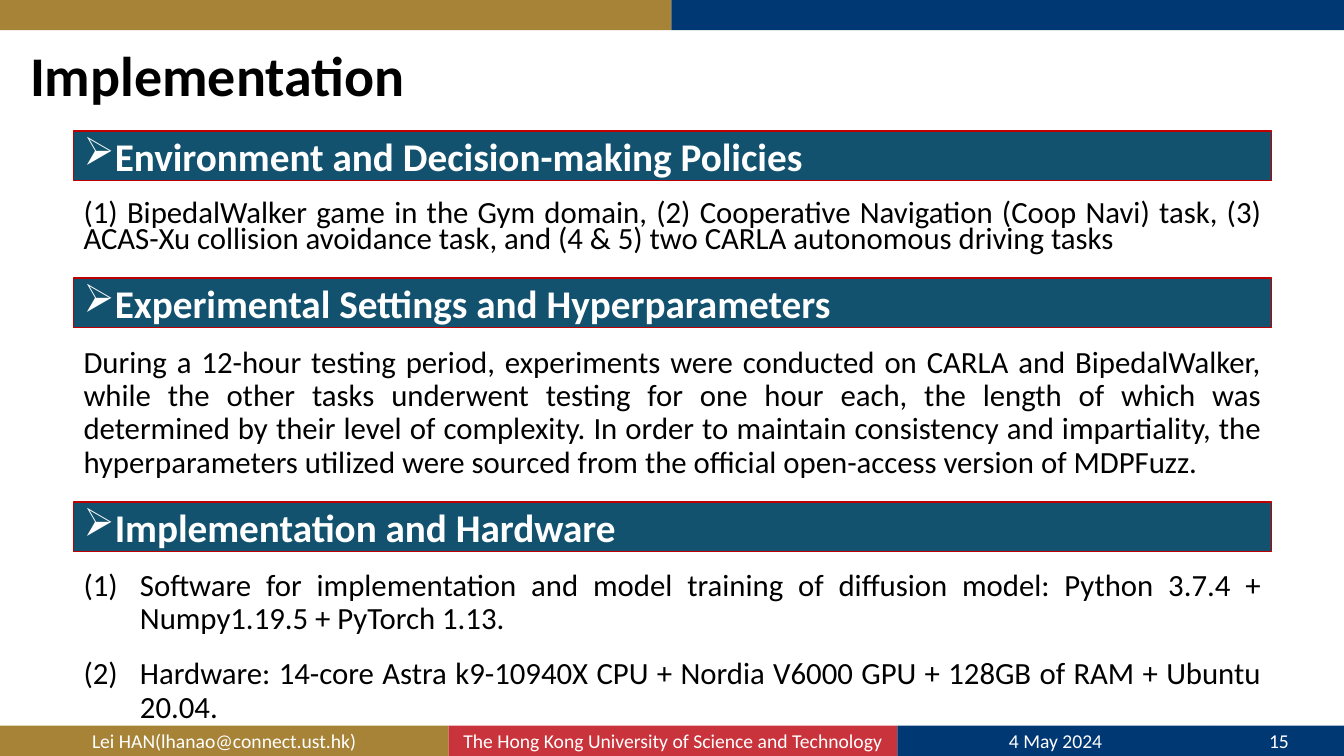
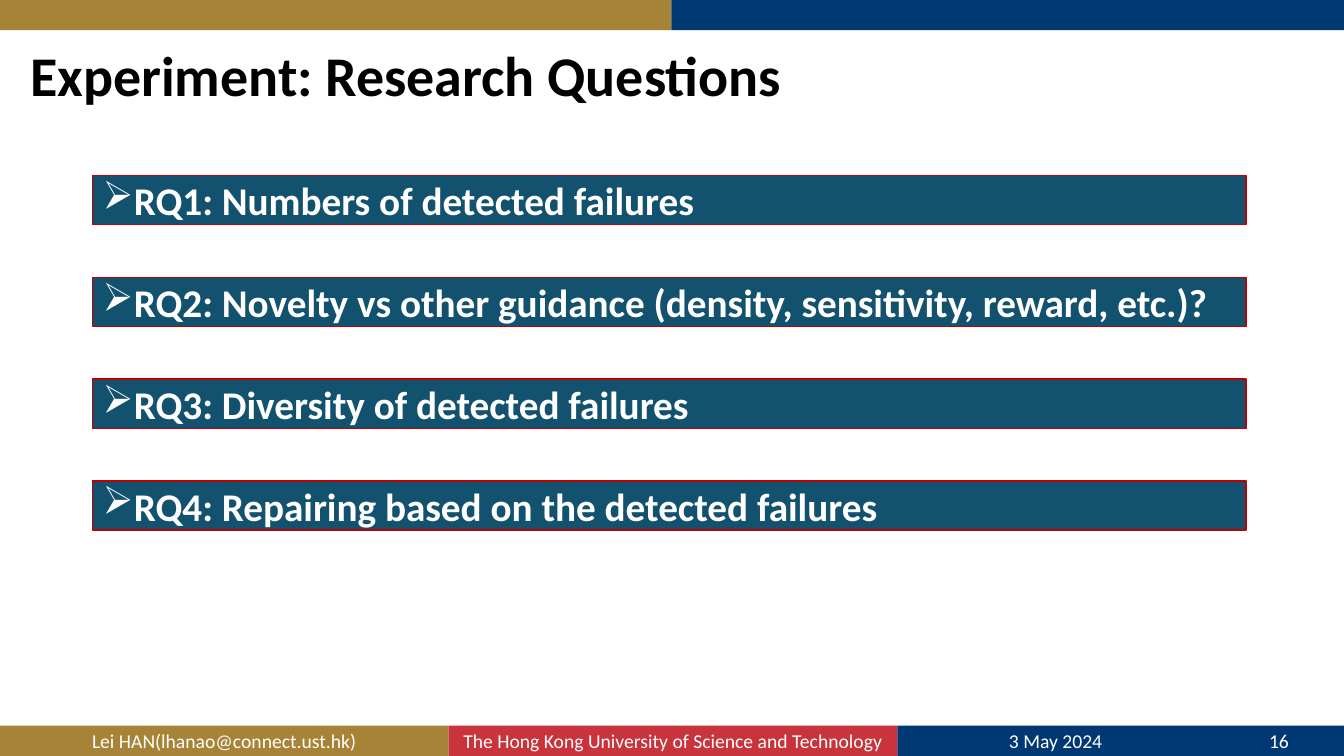
from dataclasses import dataclass
from itertools import accumulate

from lxml.etree import SubElement
from pptx import Presentation
from pptx.dml.color import RGBColor as Rgb
from pptx.enum.shapes import MSO_SHAPE as Shape
from pptx.enum.text import MSO_ANCHOR as Anchor, PP_ALIGN as Align
from pptx.oxml.ns import qn
from pptx.util import Pt

PX = 9144


@dataclass(frozen=True)
class Theme:
    font: str = "Calibri"
    gold: str = "A78337"
    navy: str = "003874"
    red: str = "C9333B"
    teal: str = "13526E"
    edge: str = "C00000"
    black: str = "000000"
    white: str = "FFFFFF"
    title: int = 40
    head: int = 28
    body: int = 22
    foot: int = 14


THEME = Theme()
WIDTH, HEIGHT, BAND = 1333, 750, 30
BAR = 49


def emu(*sizes):
    return [size * PX for size in sizes]


def bullet(para, tag, indent, **attrs):
    props = para._p.get_or_add_pPr()
    props.set("marL", str(indent * PX))
    props.set("indent", str(-indent * PX))
    SubElement(props, qn(f"a:{tag}"), attrs)


def write(shape, *texts, size, color=THEME.black, bold=False, align=Align.LEFT,
          anchor=Anchor.TOP, line=None, before=0, after=0, mark=None):
    frame = shape.text_frame
    frame.word_wrap = True
    frame.vertical_anchor = anchor
    for index, text in enumerate(texts):
        para = frame.add_paragraph() if index else frame.paragraphs[0]
        if mark:
            bullet(para, **mark)
        para.alignment = align
        para.line_spacing = line
        para.space_before = Pt(before if index else 0)
        para.space_after = Pt(after)
        run = para.add_run()
        run.text = text
        font = run.font
        font.name, font.size, font.bold = THEME.font, Pt(size), bold
        font.color.rgb = Rgb.from_string(color)


def block(slide, left, top, width, height, fill, edge=None):
    shape = slide.shapes.add_shape(
        Shape.RECTANGLE, *emu(left, top, width, height))
    shape.shadow.inherit = False
    shape.fill.solid()
    shape.fill.fore_color.rgb = Rgb.from_string(fill)
    if edge:
        shape.line.color.rgb = Rgb.from_string(edge)
        shape.line.width = Pt(1)
    else:
        shape.line.fill.background()
    return shape


def header(slide, left, top, width, text):
    bar = block(slide, left, top, width, BAR, THEME.teal, THEME.edge)
    write(bar, text, size=THEME.head, color=THEME.white, bold=True,
          anchor=Anchor.MIDDLE,
          mark={"tag": "buChar", "indent": 31, "char": "➢"})


def body(slide, left, top, width, height, *texts, line=0.9, mark=None):
    box = slide.shapes.add_textbox(*emu(left, top, width, height))
    write(box, *texts, size=THEME.body, align=Align.JUSTIFY, line=line,
          before=10, after=6, mark=mark)


def footer(slide, date, number):
    cells = [
        (445, THEME.gold, "Lei HAN(lhanao@connect.ust.hk)"),
        (445, THEME.red, "The Hong Kong University of Science and Technology"),
        (314, THEME.navy, date),
        (129, THEME.navy, str(number)),
    ]
    lefts = accumulate((cell[0] for cell in cells), initial=0)
    for left, (width, fill, text) in zip(lefts, cells):
        cell = block(slide, left, HEIGHT - BAND, width, BAND, fill)
        write(cell, text, size=THEME.foot, color=THEME.white,
              align=Align.CENTER, anchor=Anchor.MIDDLE)


def page(deck, title, date, number):
    slide = deck.slides.add_slide(deck.slide_layouts[6])
    box = slide.shapes.add_textbox(*emu(20, 29, 1150, 97))
    write(box, title, size=THEME.title, bold=True, line=0.9,
          anchor=Anchor.MIDDLE)
    half = WIDTH // 2
    block(slide, 0, 0, half, BAND, THEME.gold)
    block(slide, half, 0, WIDTH - half, BAND, THEME.navy)
    footer(slide, date, number)
    return slide


def setup(deck):
    slide = page(deck, "Implementation", "4 May 2024", 15)
    left, width = 73, 1188
    header(slide, left, 130, width, "Environment and Decision-making Policies")
    body(slide, left, 196, width, 65,
         "(1) BipedalWalker game in the Gym domain, (2) Cooperative "
         "Navigation (Coop Navi) task, (3) ACAS-Xu collision avoidance task, "
         "and (4 & 5) two CARLA autonomous driving tasks", line=0.7)
    header(slide, left, 276, width, "Experimental Settings and Hyperparameters")
    body(slide, left, 339, width, 147,
         "During a 12-hour testing period, experiments were conducted on "
         "CARLA and BipedalWalker, while the other tasks underwent testing "
         "for one hour each, the length of which was determined by their "
         "level of complexity. In order to maintain consistency and "
         "impartiality, the hyperparameters utilized were sourced from the "
         "official open-access version of MDPFuzz.")
    header(slide, left, 498, width, "Implementation and Hardware")
    body(slide, left, 560, width, 149,
         "Software for implementation and model training of diffusion model: "
         "Python 3.7.4 + Numpy1.19.5 + PyTorch 1.13.",
         "Hardware: 14-core Astra k9-10940X CPU + Nordia V6000 GPU + 128GB of "
         "RAM + Ubuntu 20.04.",
         mark={"tag": "buAutoNum", "indent": 56, "type": "arabicParenBoth"})


def goals(deck):
    slide = page(deck, "Experiment: Research Questions", "3 May 2024", 16)
    texts = [
        "RQ1: Numbers of detected failures",
        "RQ2: Novelty vs other guidance (density, sensitivity, reward, etc.)?",
        "RQ3: Diversity of detected failures",
        "RQ4: Repairing based on the detected failures",
    ]
    for row, text in enumerate(texts):
        header(slide, 92, 174 + 101 * row, 1144, text)


def main():
    deck = Presentation()
    deck.slide_width, deck.slide_height = emu(WIDTH, HEIGHT)
    setup(deck)
    goals(deck)
    deck.save("out.pptx")


if __name__ == "__main__":
    main()
